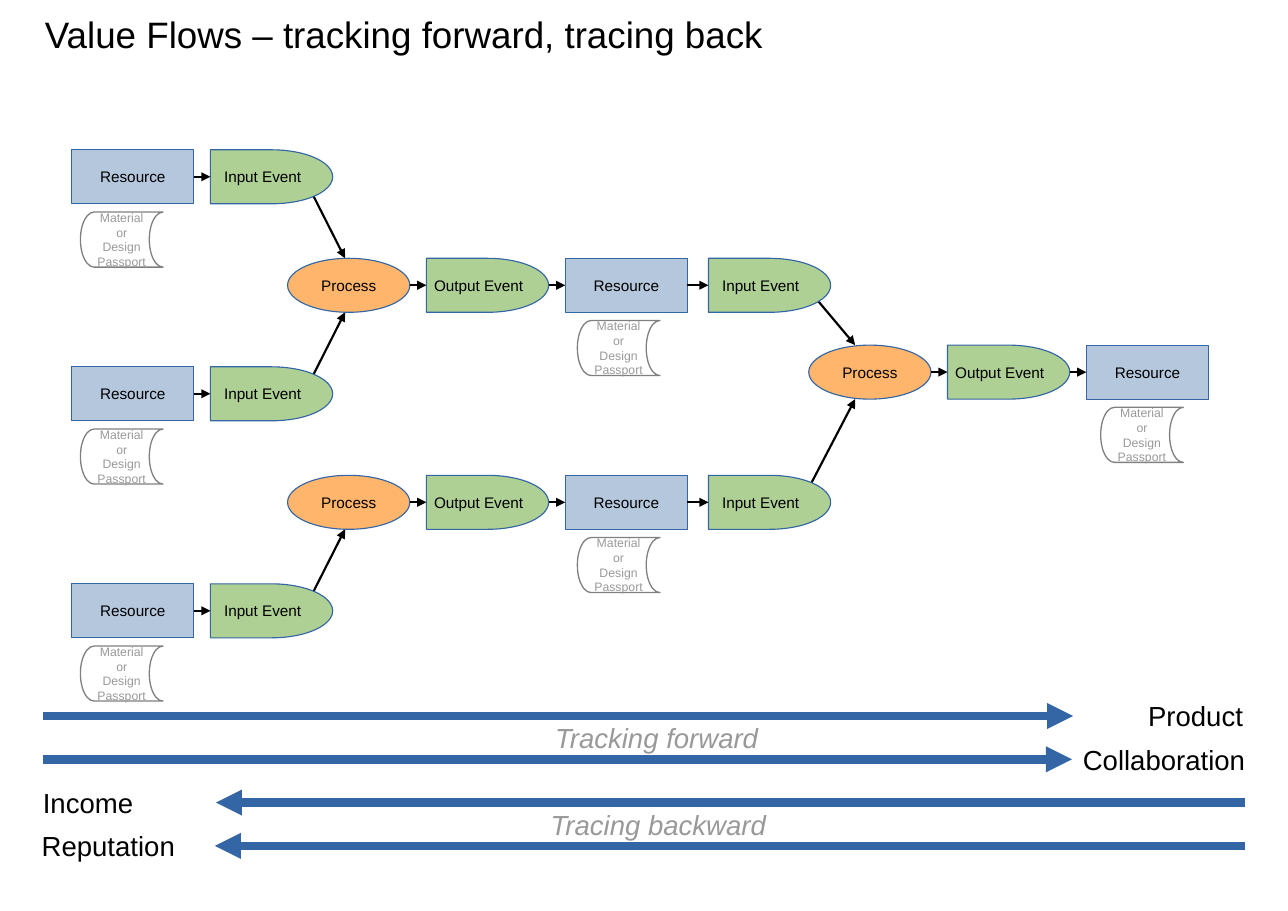
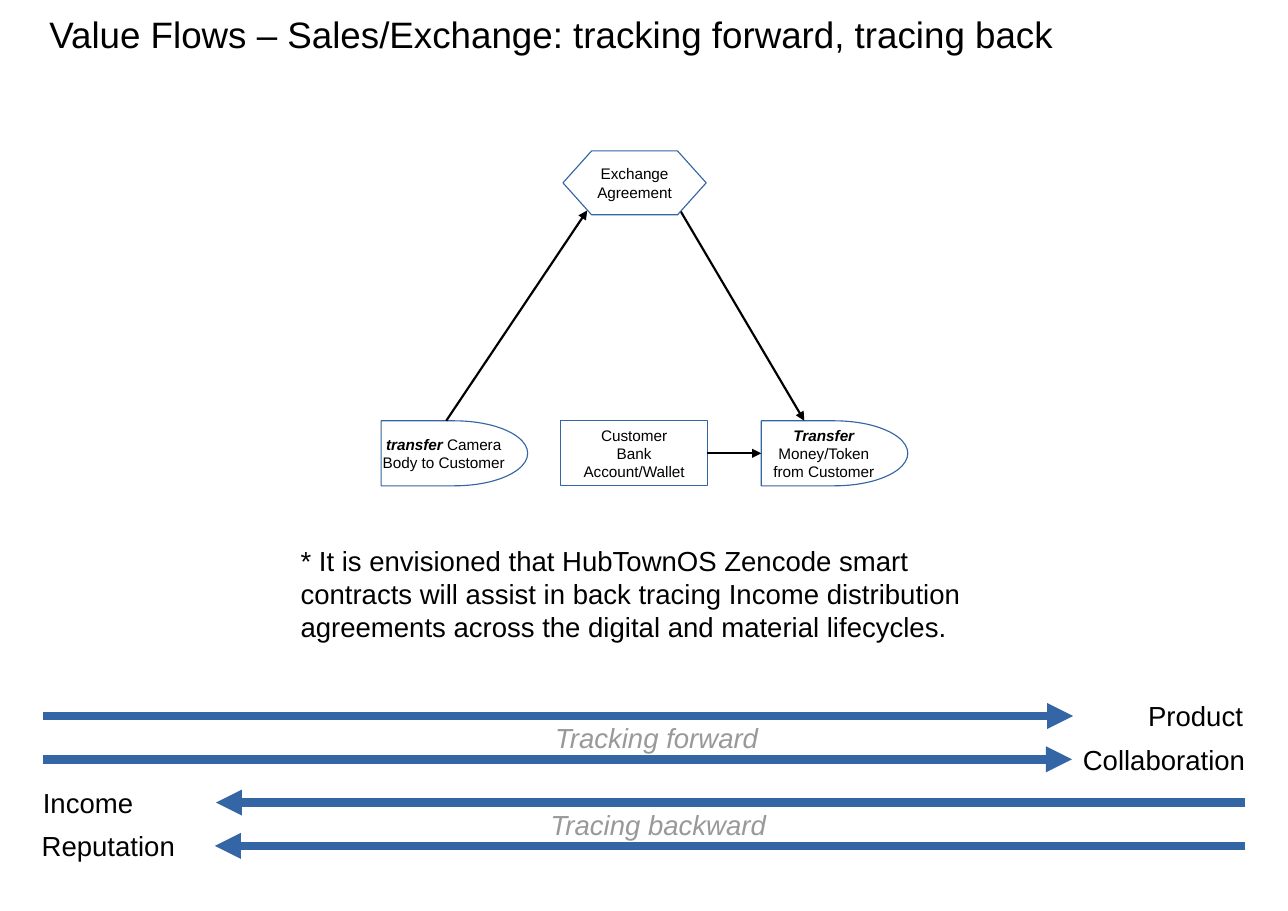
from lxml.etree import SubElement
from pptx import Presentation
from pptx.dml.color import RGBColor
from pptx.enum.shapes import MSO_CONNECTOR, MSO_SHAPE
from pptx.enum.text import MSO_ANCHOR, MSO_AUTO_SIZE, PP_ALIGN
from pptx.oxml.ns import qn
from pptx.util import Inches, Pt

FONT = "Arial"
BLACK, WHITE, GRAY, MUTED, BLUE = "000000", "FFFFFF", "808080", "999999", "3465A4"

RESOURCE = ("Resource", MSO_SHAPE.RECTANGLE, "B4C7DC")
INPUT = ("Input Event", MSO_SHAPE.FLOWCHART_DELAY, "AFD095")
PROCESS = ("Process", MSO_SHAPE.OVAL, "FFB66C")
OUTPUT = ("Output Event", MSO_SHAPE.FLOWCHART_DELAY, "AFD095")

COLUMNS = [
    (0.65, RESOURCE), (1.91, INPUT),
    (2.61, PROCESS), (3.87, OUTPUT), (5.13, RESOURCE), (6.43, INPUT),
    (7.34, PROCESS), (8.6, OUTPUT), (9.86, RESOURCE),
]
CHAINS = [(0, 1, 0), (0, 1, 2), (0, 1, 4), (2, 5, 1), (2, 5, 3), (6, 8, 1.8)]
BRANCHES = [
    ((1, 0), (0.83, 0.8), (2, 1), (0.47, 0)),
    ((1, 2), (0.83, 0.2), (2, 1), (0.47, 1)),
    ((1, 4), (0.83, 0.2), (2, 3), (0.47, 1)),
    ((5, 1), (0.9, 0.8), (6, 1.8), (0.38, 0)),
    ((5, 3), (0.84, 0.15), (6, 1.8), (0.38, 1)),
]
NODE_WIDTH, NODE_HEIGHT = 1.11, 0.49
FIRST_ROW, ROW_STEP = 1.36, 0.985
PASSPORT_SHIFT = {0: 0.08, 4: 0.11, 8: 0.13}
BAND_TOP, BAND_STEP = 6.5, 0.393
BAND = [
    (0.39, 9.74, "Product", 9.82, 1.56, PP_ALIGN.RIGHT),
    (0.39, 9.73, "Collaboration", 9.73, 1.7, PP_ALIGN.LEFT),
    (11.3, 1.96, "Income", 0.29, 1.28, PP_ALIGN.LEFT),
    (11.3, 1.95, "Reputation", 0.28, 1.68, PP_ALIGN.LEFT),
]
CAPTIONS = [(0, "Tracking forward", 4.94, 2.15), (2, "Tracing backward", 4.9, 2.25)]
STRONG = {"bold": True, "italic": True}


def rgb(color):
    return RGBColor.from_string(color)


def apply(target, values):
    for name, value in values.items():
        setattr(target, name, value)


def write(frame, paragraphs, size, color, align):
    for index, runs in enumerate(paragraphs):
        paragraph = frame.paragraphs[0] if index == 0 else frame.add_paragraph()
        paragraph.alignment = align
        for text, style in runs:
            for line, words in enumerate(text.split("\n")):
                if line:
                    paragraph.add_line_break()
                if words:
                    run = paragraph.add_run()
                    run.text = words
                    apply(run.font, {"name": FONT, "size": Pt(size), **style})
                    run.font.color.rgb = rgb(color)


def add_label(shapes, text, box, size=18, color=BLACK, align=PP_ALIGN.LEFT, style=None):
    frame = shapes.add_textbox(*map(Inches, box)).text_frame
    apply(frame, {"word_wrap": True, "auto_size": MSO_AUTO_SIZE.SHAPE_TO_FIT_TEXT})
    write(frame, [[(text, style or {})]], size, color, align)


def add_node(shapes, preset, box, paragraphs, fill=WHITE, outline=BLUE, weight=0,
             size=10, color=BLACK):
    node = shapes.add_shape(preset, *map(Inches, box))
    node.shadow.inherit = False
    node.fill.solid()
    node.fill.fore_color.rgb = rgb(fill)
    node.line.color.rgb = rgb(outline)
    node.line.width = Pt(weight)
    apply(node.text_frame, {"word_wrap": False, "vertical_anchor": MSO_ANCHOR.MIDDLE})
    write(node.text_frame, paragraphs, size, color, PP_ALIGN.CENTER)
    return node


def add_arrow(shapes, start, end, color=BLACK, weight=1.42):
    arrow = shapes.add_connector(MSO_CONNECTOR.STRAIGHT, *map(Inches, (*start, *end)))
    arrow.line.color.rgb = rgb(color)
    arrow.line.width = Pt(weight)
    SubElement(arrow.line._get_or_add_ln(), qn("a:tailEnd"), type="triangle")
    SubElement(arrow._element.spPr, qn("a:effectLst"))
    return arrow


def grid_point(column, row, across=0, down=0):
    return (COLUMNS[column][0] + across * NODE_WIDTH,
            FIRST_ROW + row * ROW_STEP + down * NODE_HEIGHT)


def add_chain(shapes, first, last, row):
    previous = None
    for column in range(first, last + 1):
        name, preset, fill = COLUMNS[column][1]
        box = (*grid_point(column, row), NODE_WIDTH, NODE_HEIGHT)
        node = add_node(shapes, preset, box, [[(name, {})]], fill)
        if previous:
            link = add_arrow(shapes, grid_point(column - 1, row, 1, 0.5),
                             grid_point(column, row, 0, 0.5))
            if COLUMNS[column - 1][1] is not PROCESS:
                link.begin_connect(previous, 3)
            link.end_connect(node, 1)
        previous = node


def add_passport(shapes, column, row):
    left, top = grid_point(column, row)
    box = (left + PASSPORT_SHIFT[column], top + 0.565, 0.75, 0.5)
    lines = [[(word, {})] for word in ("Material", "or", "Design", "Passport")]
    add_node(shapes, MSO_SHAPE.FLOWCHART_STORED_DATA, box, lines,
             outline=GRAY, weight=0.85, size=8, color=MUTED)


def add_band(slide):
    band = slide.shapes.add_group_shape().shapes
    for index, (start, end, text, left, width, align) in enumerate(BAND):
        y = BAND_TOP + index * BAND_STEP
        add_arrow(band, (start, y), (end, y), BLUE, 5.67)
        add_label(band, text, (left, y - 0.2, width, 0.38), align=align)
    for index, text, left, width in CAPTIONS:
        box = (left, BAND_TOP + index * BAND_STEP, width, 0.38)
        add_label(band, text, box, color=MUTED, style={"italic": True})


def start_slide(deck, title, left):
    slide = deck.slides.add_slide(deck.slide_layouts[6])
    add_label(slide.shapes, title, (left, 0.06, 11, 0.84), size=24)
    return slide


def build_flow(deck):
    slide = start_slide(deck, "Value Flows – tracking forward, tracing back", 0.31)
    flow = slide.shapes.add_group_shape().shapes
    for source, leave, target, arrive in BRANCHES:
        add_arrow(flow, grid_point(*source, *leave), grid_point(*target, *arrive))
    for chain in CHAINS:
        add_chain(flow, *chain)
    add_band(slide)
    for first, last, row in CHAINS:
        for column in range(first, last + 1):
            if column in PASSPORT_SHIFT:
                add_passport(slide.shapes, column, row)


def build_exchange(deck):
    slide = start_slide(
        deck, "Value Flows – Sales/Exchange: tracking forward, tracing back", 0.35)
    add_band(slide)
    exchange = slide.shapes.add_group_shape().shapes
    steps = [
        (3.46, MSO_SHAPE.FLOWCHART_DELAY,
         [("transfer", STRONG), (" Camera\nBody to Customer", {})]),
        (5.09, MSO_SHAPE.RECTANGLE, [("Customer\nBank\nAccount/Wallet", {})]),
        (6.91, MSO_SHAPE.FLOWCHART_DELAY,
         [("Transfer\n", STRONG), ("Money/Token\nfrom Customer", {})]),
    ]
    goods, wallet, payment = [
        add_node(exchange, preset, (left, 3.82, 1.33, 0.59), [runs])
        for left, preset, runs in steps
    ]
    add_arrow(exchange, (4.05, 3.82), (5.33, 1.91))
    add_arrow(exchange, (6.12, 1.82), (7.3, 3.82))
    paying = add_arrow(exchange, (6.42, 4.12), (6.91, 4.12))
    paying.begin_connect(wallet, 3)
    paying.end_connect(payment, 1)
    add_node(exchange, MSO_SHAPE.FLOWCHART_PREPARATION, (5.11, 1.37, 1.3, 0.58),
             [[("Exchange\nAgreement", {})]])
    add_label(slide.shapes,
              "* It is envisioned that HubTownOS Zencode smart contracts will assist in "
              "back tracing Income distribution agreements across the digital and "
              "material lifecycles.", (2.63, 4.89, 6.44, 0.94))


def main():
    deck = Presentation()
    apply(deck, {"slide_width": Inches(11.69), "slide_height": Inches(8.27)})
    build_flow(deck)
    build_exchange(deck)
    deck.save("out.pptx")


if __name__ == "__main__":
    main()
